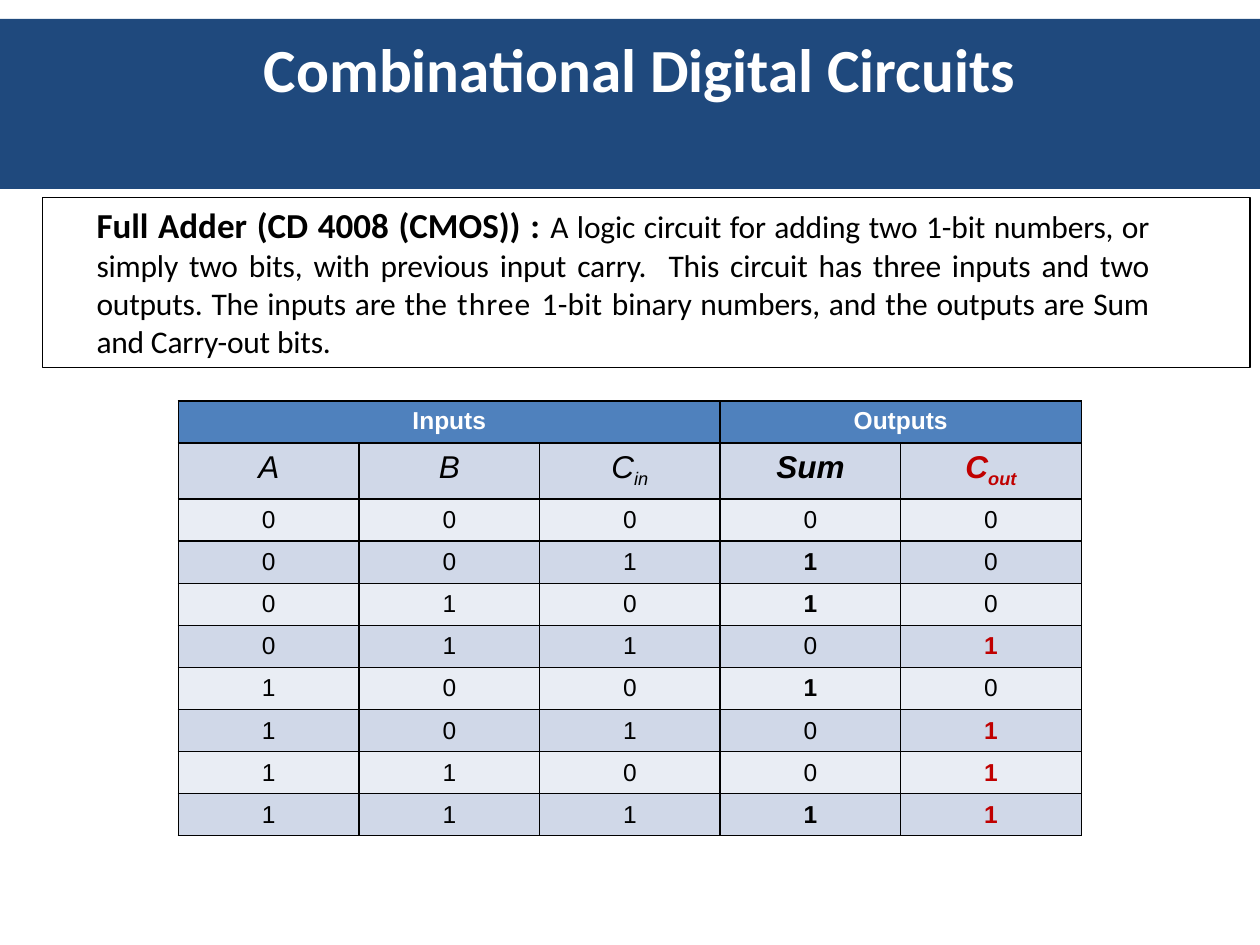
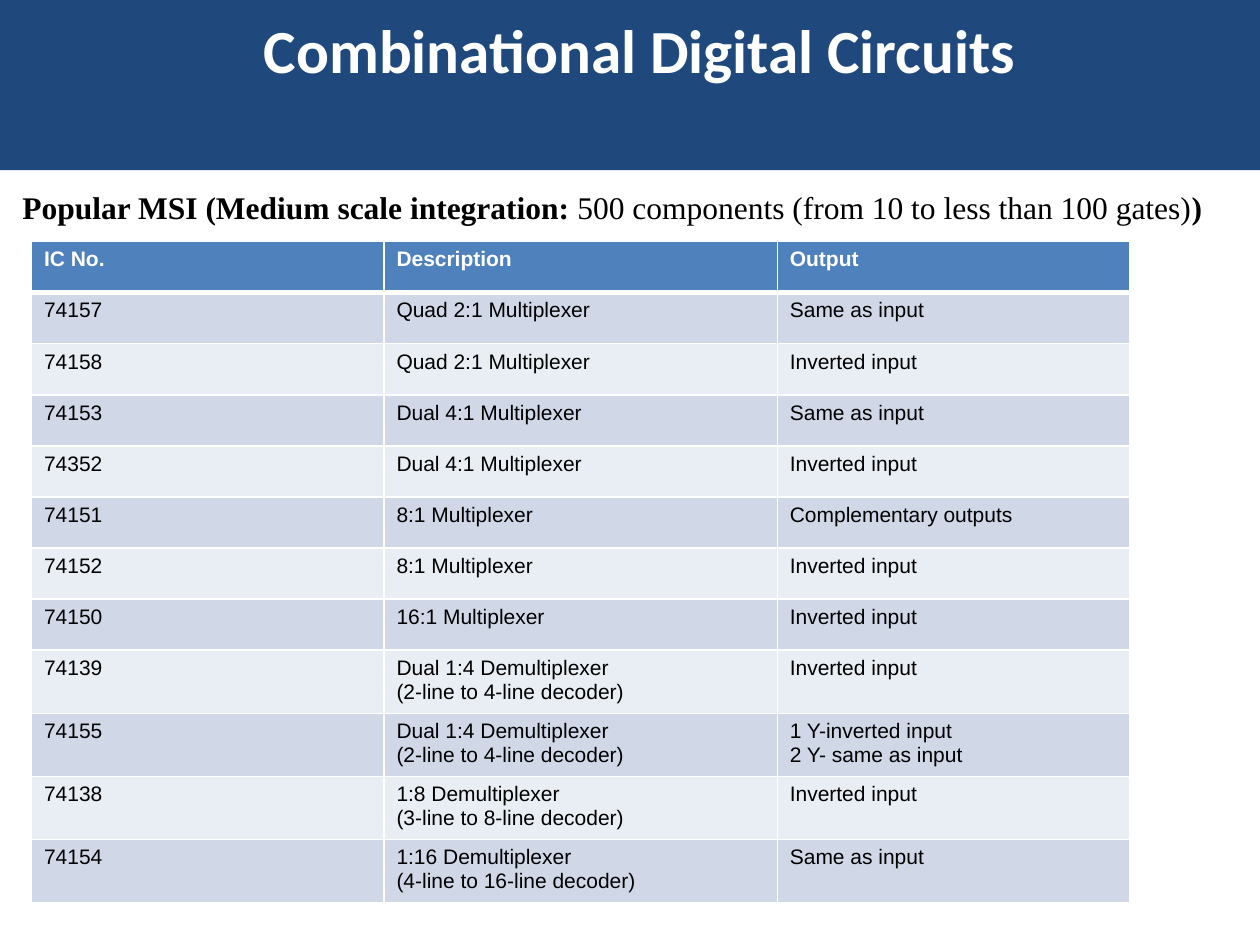
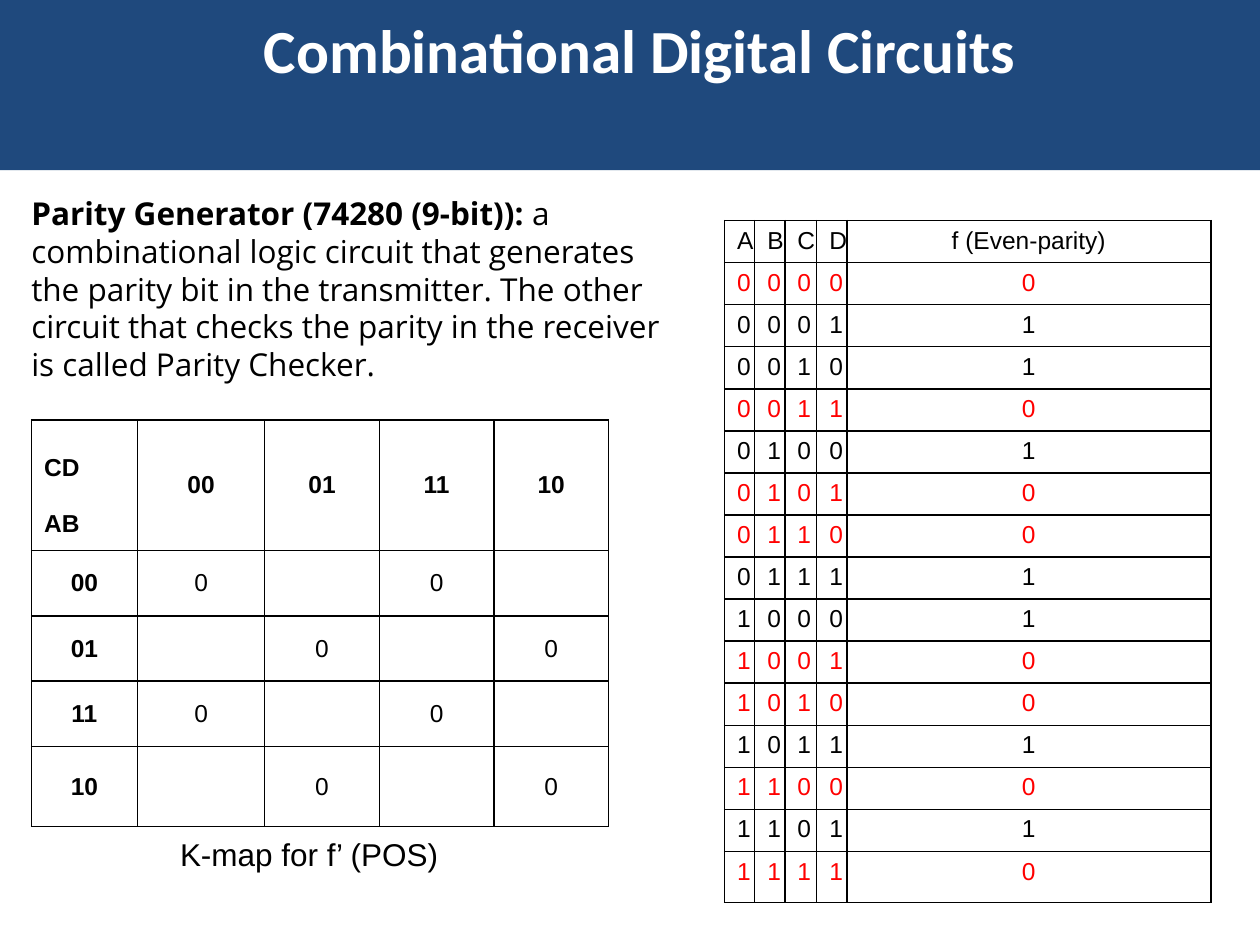
import itertools
import pptx
import pptx.dml.color
import pptx.enum.shapes
import pptx.enum.text
import pptx.oxml
import pptx.oxml.ns
import pptx.util

Pt = pptx.util.Pt
RGBColor = pptx.dml.color.RGBColor
Align = pptx.enum.text.PP_ALIGN
Anchor = pptx.enum.text.MSO_ANCHOR
RECT = pptx.enum.shapes.MSO_SHAPE.RECTANGLE

NAVY = RGBColor(0x1F, 0x49, 0x7D)
BLUE = RGBColor(0x4F, 0x81, 0xBD)
DARK = RGBColor(0xD0, 0xD8, 0xE8)
LIGHT = RGBColor(0xE9, 0xED, 0xF4)
WHITE = RGBColor(0xFF, 0xFF, 0xFF)
BLACK = RGBColor(0, 0, 0)
CRIMSON = RGBColor(0xC0, 0, 0)
RED = RGBColor(0xFF, 0, 0)

HEAD = "Combinational Digital Circuits"
WIDE, TALL = 720, 540

CHIPS = [
    ("IC No.", "Description", "Output"),
    ("74157", "Quad 2:1 Multiplexer", "Same as input"),
    ("74158", "Quad 2:1 Multiplexer", "Inverted input"),
    ("74153", "Dual 4:1 Multiplexer", "Same as input"),
    ("74352", "Dual 4:1 Multiplexer", "Inverted input"),
    ("74151", "8:1 Multiplexer", "Complementary outputs"),
    ("74152", "8:1 Multiplexer", "Inverted input"),
    ("74150", "16:1 Multiplexer", "Inverted input"),
    ("74139", "Dual 1:4 Demultiplexer\n(2-line to 4-line decoder)", "Inverted input"),
    ("74155", "Dual 1:4 Demultiplexer\n(2-line to 4-line decoder)",
     "1 Y-inverted input\n2 Y- same as input"),
    ("74138", "1:8 Demultiplexer\n(3-line to 8-line decoder)", "Inverted input"),
    ("74154", "1:16 Demultiplexer\n(4-line to 16-line decoder)", "Same as input"),
]


def style(run, size, face="Arial", color=BLACK, bold=False, slant=False):
    font = run.font
    font.size, font.name = Pt(size), face
    font.color.rgb = color
    font.bold, font.italic = bold, slant


def write(frame, text, size, align=Align.LEFT, **look):
    frame.text = text
    for para in frame.paragraphs:
        para.alignment = align
        for run in para.runs:
            style(run, size, **look)


def add_run(para, text, size, attr=None, value=0, **look):
    run = para.add_run()
    run.text = text
    style(run, size, **look)
    if attr:
        run._r.get_or_add_rPr().set(attr, str(value))


def add_text(slide, left, top, width, height, wrap=True):
    box = slide.shapes.add_textbox(Pt(left), Pt(top), Pt(width), Pt(height))
    box.text_frame.word_wrap = wrap
    return box.text_frame


def add_rect(slide, left, top, width, height):
    rect = slide.shapes.add_shape(RECT, Pt(left), Pt(top), Pt(width), Pt(height))
    rect.shadow.inherit = False
    return rect


def add_band(slide, top):
    band = add_rect(slide, 0, top, WIDE, 97.2)
    band.fill.solid()
    band.fill.fore_color.rgb = NAVY
    band.line.fill.background()
    frame = add_text(slide, 5.76, top + 3.6, WIDE, 94.3)
    write(frame, HEAD, 35, Align.CENTER, face="Calibri", color=WHITE, bold=True)


def set_edges(cell, color, top=1, bottom=1):
    props = cell._tc.get_or_add_tcPr()
    sides = (("L", 1), ("R", 1), ("T", top), ("B", bottom))
    for place, (side, width) in enumerate(sides):
        props.insert(place, pptx.oxml.parse_xml(
            f'<a:ln{side} {pptx.oxml.ns.nsdecls("a")} w="{Pt(width)}">'
            f'<a:solidFill><a:srgbClr val="{color}"/></a:solidFill></a:ln{side}>'))


def add_grid(slide, left, top, cols, rows, edge, rule=1, fills=None):
    frame = slide.shapes.add_table(len(rows), len(cols), Pt(left), Pt(top),
                                   Pt(sum(cols)), Pt(sum(rows)))
    grid = frame.table
    grid.first_row = grid.horz_banding = False
    for col, width in zip(grid.columns, cols):
        col.width = Pt(width)
    for index, (row, height) in enumerate(zip(grid.rows, rows)):
        row.height = Pt(height)
        for cell in row.cells:
            if fills:
                cell.fill.solid()
                cell.fill.fore_color.rgb = fills[index]
            else:
                cell.fill.background()
            set_edges(cell, edge, rule if index == 1 else 1, rule if index == 0 else 1)
    return grid


def band_fills(count):
    return [BLUE] + [(DARK, LIGHT)[i % 2] for i in range(count - 1)]


def add_intro(slide, left, top, width, height):
    rect = add_rect(slide, left, top, width, height)
    rect.fill.background()
    rect.line.color.rgb = BLACK
    rect.line.width = Pt(0.75)
    frame = rect.text_frame
    frame.word_wrap = True
    frame.vertical_anchor = Anchor.TOP
    frame.margin_right = Pt(57.6)
    para = frame.paragraphs[0]
    para.alignment = Align.JUSTIFY
    para._p.get_or_add_pPr().set("marL", str(Pt(23.8)))
    add_run(para, "Full Adder (CD 4008 (CMOS)) : ", 20, face="Calibri", bold=True)
    parts = [
        ("A logic circuit for adding two 1-bit numbers, or simply two bits, with "
         "previous input carry.  This circuit has three inputs and two outputs. "
         "The inputs are the", -10),
        (" three ", 60),
        ("1-bit ", 10),
        ("binary numbers, and the outputs are Sum and Carry-out bits. ", -10),
    ]
    for text, space in parts:
        add_run(para, text, 18, "spc", space, face="Calibri")


def add_adder(slide, left, top):
    rows = [24, 32] + [24] * 8
    grid = add_grid(slide, left, top, [103.2] * 5, rows, BLACK,
                    fills=band_fills(len(rows)))
    for first, last, text in ((0, 2, "Inputs"), (3, 4, "Outputs")):
        cell = grid.cell(0, first)
        cell.merge(grid.cell(0, last))
        write(cell.text_frame, text, 14, Align.CENTER, color=WHITE, bold=True)
    names = [("A", ""), ("B", ""), ("C", "in"), ("Sum", ""), ("C", "out")]
    for col, (name, sub) in enumerate(names):
        look = dict(color=CRIMSON if col == 4 else BLACK, bold=col > 2, slant=True)
        frame = grid.cell(1, col).text_frame
        write(frame, name, 18, Align.CENTER, **look)
        if sub:
            add_run(frame.paragraphs[0], sub, 18, "baseline", -25000, **look)
    for row, bits in enumerate(itertools.product((0, 1), repeat=3), 2):
        total = sum(bits)
        for col, bit in enumerate((*bits, total % 2, total // 2)):
            cell = grid.cell(row, col)
            cell.vertical_anchor = Anchor.MIDDLE
            loud = col > 2 and bit == 1
            write(cell.text_frame, str(bit), 14, Align.CENTER, bold=loud,
                  color=CRIMSON if loud and col == 4 else BLACK)


def add_chips(slide, left, top):
    rows = [29.2] * 8 + [36] * 4
    grid = add_grid(slide, left, top, [201.4, 224.8, 201.4], rows, WHITE, 3,
                    band_fills(len(rows)))
    for row, texts in enumerate(CHIPS):
        for col, text in enumerate(texts):
            write(grid.cell(row, col).text_frame, text, 12, bold=row == 0,
                  color=BLACK if row else WHITE)


def add_parity(slide, left, top):
    codes = [bits for bits in itertools.product((0, 1), repeat=4)
             if bits != (1, 1, 1, 0)]
    lines = [("A", "B", "C", "D", "f (Even-parity)")]
    lines += [(*bits, sum(bits) % 2) for bits in codes]
    grid = add_grid(slide, left, top, [17.2, 17.2, 18.2, 17.2, 208],
                    [24] * 15 + [29.2], BLACK)
    for row, line in enumerate(lines):
        color = RED if line[-1] == 0 else BLACK
        for col, item in enumerate(line):
            write(grid.cell(row, col).text_frame, str(item), 14, Align.CENTER,
                  color=color)


def add_kmap(slide, left, top):
    codes = ("00", "01", "11", "10")
    grid = add_grid(slide, left, top, [60.5, 72.8, 65.5, 65.5, 65.5],
                    [74.5, 37.4, 37.4, 37.4, 45.6], BLACK)
    corner = grid.cell(0, 0)
    corner.margin_top = Pt(19.7)
    write(corner.text_frame, "CD\nAB", 14, bold=True)
    corner.text_frame.paragraphs[1].space_before = Pt(16.1)

    def put(row, col, text, bold):
        cell = grid.cell(row, col)
        cell.vertical_anchor = Anchor.MIDDLE
        write(cell.text_frame, text, 14, Align.CENTER, bold=bold)

    for row, code in enumerate(codes, 1):
        put(0, row, code, True)
        put(row, 0, code, True)
        for col in range(1, 5):
            if (row + col) % 2 == 0:
                put(row, col, "0", False)


def adder_slide(slide):
    add_band(slide, 10.8)
    add_intro(slide, 24.3, 113, 690, 97.2)
    add_adder(slide, 102, 229.2)


def chip_slide(slide):
    frame = add_text(slide, 5.76, 100.8, WIDE, 256)
    para = frame.paragraphs[0]
    para.alignment = Align.JUSTIFY
    para.line_spacing = 1.15
    parts = [("Popular MSI (Medium scale integration: ", True),
             ("500 components (from 10 to less than 100 gates)", False), (")", True)]
    for text, bold in parts:
        add_run(para, text, 18, face="Times New Roman", bold=bold)
    add_band(slide, 0)
    add_chips(slide, 18, 138)


def parity_slide(slide):
    add_band(slide, 0)
    para = add_text(slide, 10.8, 107.3, 385.2, 138.2).paragraphs[0]
    add_run(para, "Parity Generator (74280 (9-bit)): ", 18, face="Open Sans", bold=True)
    add_run(para, "a combinational logic circuit that generates the parity bit in the "
            "transmitter. The other circuit that checks the parity in the receiver is "
            "called Parity Checker.", 18, face="Open Sans")
    add_parity(slide, 414, 126)
    add_kmap(slide, 18, 240)
    write(add_text(slide, 95.8, 473.8, 168.5, 28.8, False), "K-map for f’ (POS)", 18)


def main():
    deck = pptx.Presentation()
    deck.slide_width, deck.slide_height = Pt(WIDE), Pt(TALL)
    for build in (adder_slide, chip_slide, parity_slide):
        build(deck.slides.add_slide(deck.slide_layouts[6]))
    deck.save("out.pptx")


if __name__ == "__main__":
    main()
